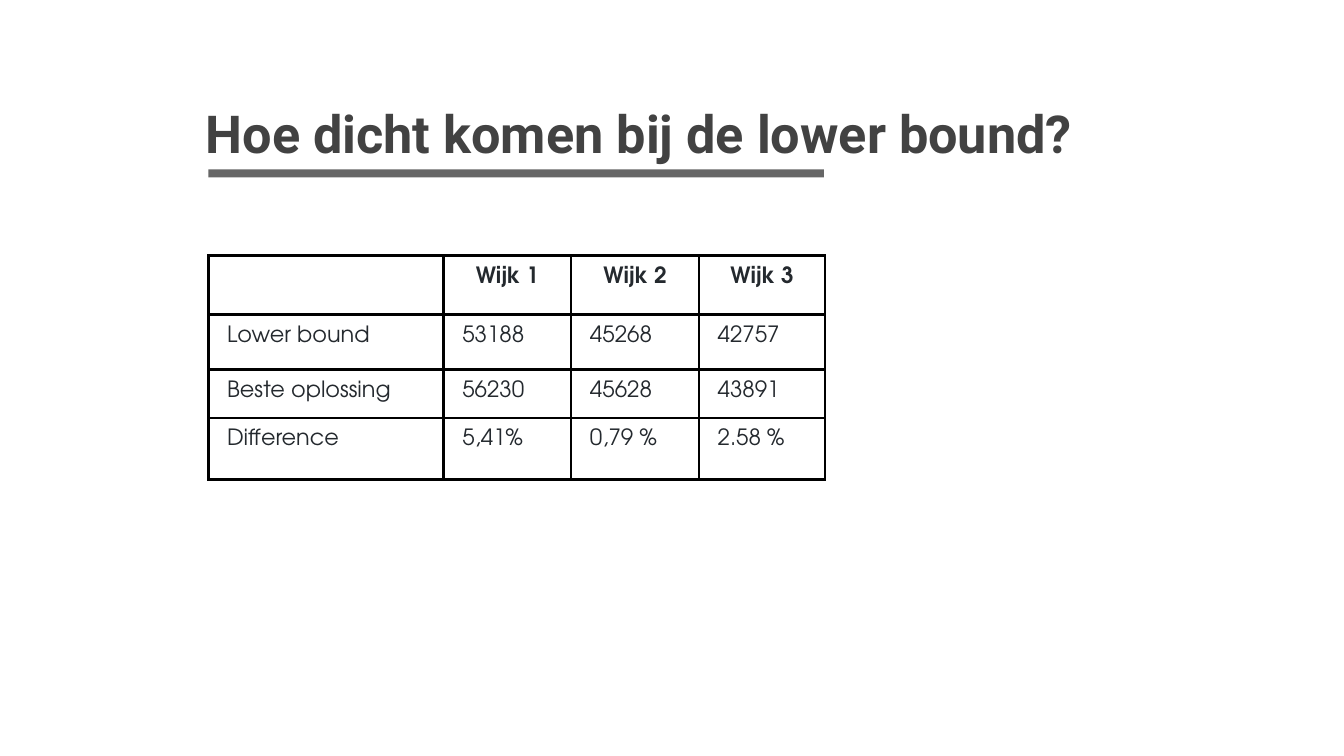
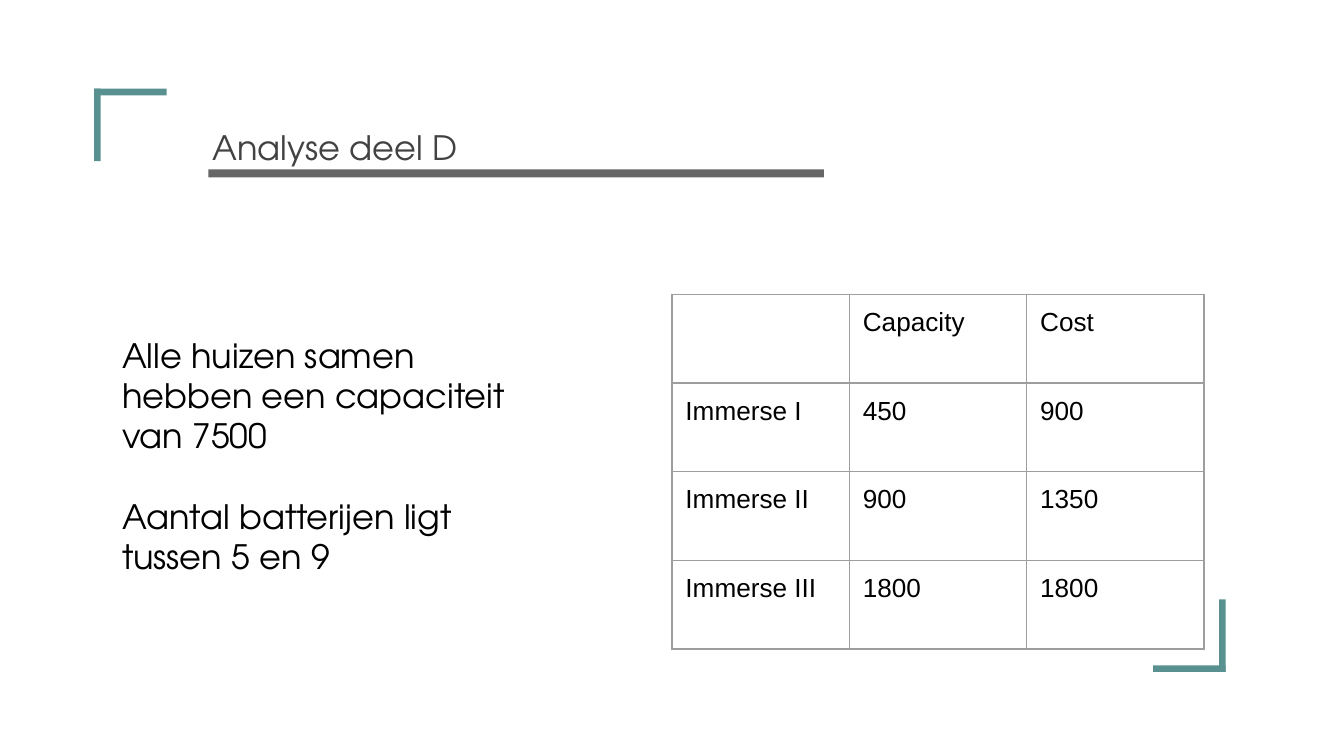
from dataclasses import dataclass

from pptx import Presentation
from pptx.dml.color import RGBColor
from pptx.enum.shapes import MSO_SHAPE
from pptx.enum.text import MSO_ANCHOR, MSO_AUTO_SIZE, PP_ALIGN
from pptx.oxml import parse_xml
from pptx.oxml.ns import nsdecls
from pptx.util import Inches, Pt


@dataclass(frozen=True)
class Theme:
    """Colours, fonts and type sizes of the deck."""
    title: str = "424242"
    bar: str = "666666"
    teal: str = "599191"
    ink: str = "24292E"
    black: str = "000000"
    grid: str = "9E9E9E"
    geo: str = "TeX Gyre Adventor"
    sans: str = "Arial"
    head: str = "Roboto"
    big: int = 28
    text: int = 18
    cell: int = 14
    small: int = 12


THEME = Theme()


def write(frame, *texts, font=THEME.geo, size=THEME.text, color=THEME.black, bold=False,
          align=PP_ALIGN.LEFT, line=1.0, after=0, gap=0):
    """Fill a text frame with one paragraph per text."""
    for n, text in enumerate(texts):
        para = frame.add_paragraph() if n else frame.paragraphs[0]
        para.alignment, para.line_spacing = align, line
        para.space_before, para.space_after = Pt(gap if n else 0), Pt(after)
        run = para.add_run()
        run.text = text
        run.font.name, run.font.size, run.font.bold = font, Pt(size), bold
        run.font.color.rgb = RGBColor.from_string(color)


def pad(host, side, top):
    """Set the inner margins of a cell or text frame."""
    host.margin_left = host.margin_right = Inches(side)
    host.margin_top = host.margin_bottom = Inches(top)


def block(shapes, box, color):
    """Draw a plain filled rectangle."""
    rect = shapes.add_shape(MSO_SHAPE.RECTANGLE, *map(Inches, box))
    rect.shadow.inherit = False
    rect.fill.solid()
    rect.fill.fore_color.rgb = RGBColor.from_string(color)
    rect.line.fill.background()


def heading(slide, box, text, **style):
    """Place the title and the rule under it."""
    block(slide.shapes, (1.55, 1.26, 4.58, 0.06), THEME.bar)
    title = slide.shapes.title
    title.left, title.top, title.width, title.height = map(Inches, box)
    frame = title.text_frame
    frame.word_wrap, frame.auto_size = True, MSO_AUTO_SIZE.NONE
    frame.vertical_anchor = MSO_ANCHOR.TOP
    pad(frame, 0.1, 0.1)
    write(frame, text, color=THEME.title, **style)


def corner(slide, left, top, end=False, side=0.54, thick=0.05):
    """Draw a bracket that opens inward from a corner of its square."""
    group = slide.shapes.add_group_shape().shapes
    shift = side - thick if end else 0
    block(group, (left + shift, top, thick, side), THEME.teal)
    block(group, (left, top + shift, side, thick), THEME.teal)


def border(cell, color, width):
    """Line all four sides of a cell."""
    for side in "LRTB":
        cell._tc.get_or_add_tcPr().append(parse_xml(
            f'<a:ln{side} {nsdecls("a")} w="{Pt(width)}"><a:solidFill>'
            f'<a:srgbClr val="{color}"/></a:solidFill></a:ln{side}>'))


def grid(slide, left, top, cols, rows, data, edge, inset, first=None, **style):
    """Build a table; first holds extra format for the top row."""
    table = slide.shapes.add_table(
        len(rows), len(cols), *map(Inches, (left, top, sum(cols), sum(rows)))).table
    table.first_row = table.horz_banding = False
    for col, width in zip(table.columns, cols):
        col.width = Inches(width)
    for r, (row, height, texts) in enumerate(zip(table.rows, rows, data)):
        row.height = Inches(height)
        look = style | (first or {}) if r == 0 else style
        for cell, text in zip(row.cells, texts):
            border(cell, *edge)
            cell.fill.background()
            pad(cell, *inset)
            if text:
                write(cell.text_frame, text, **look)


def bound(slide):
    """Compare the best solutions with the lower bound."""
    heading(slide, (1.43, 0.65, 7.69, 1.09), "Hoe dicht komen bij de lower bound?",
            font=THEME.head, size=THEME.big, bold=True)
    data = [("", "Wijk 1", "Wijk 2", "Wijk 3"),
            ("Lower bound", "53188", "45268", "42757"),
            ("Beste oplossing", "56230", "45628", "43891"),
            ("Difference", "5,41%", "0,79 %", "2.58 %")]
    grid(slide, 1.55, 1.9, (1.75, 0.95, 0.95, 0.94), (0.44, 0.41, 0.36, 0.46), data,
         (THEME.black, 1.5), (0.14, 0.06), first={"bold": True, "align": PP_ALIGN.CENTER},
         size=THEME.small, color=THEME.ink, line=1.15, after=12)


def notes(slide, box):
    """Place the findings beside the battery table."""
    frame = slide.shapes.add_textbox(*map(Inches, box)).text_frame
    frame.word_wrap, frame.vertical_anchor = True, MSO_ANCHOR.MIDDLE
    pad(frame, 0.1, 0.1)
    write(frame, "Alle huizen samen hebben een capaciteit van 7500",
          "Aantal batterijen ligt tussen 5 en 9", gap=21.6)


def parts(slide):
    """Show the battery types and what follows from them."""
    heading(slide, (1.48, 0.8, 7.69, 0.99), "Analyse deel D", line=1.15, after=16)
    corner(slide, 8.58, 4.46, end=True)
    corner(slide, 0.7, 0.66)
    data = [("", "Capacity", "Cost"), ("Immerse I", "450", "900"),
            ("Immerse II", "900", "1350"), ("Immerse III", "1800", "1800")]
    grid(slide, 5, 2.19, [1.32] * 3, [0.66] * 4, data, (THEME.grid, 0.75), (0.1, 0.1),
         font=THEME.sans, size=THEME.cell)
    notes(slide, (0.81, 1.75, 3.28, 3.28))


def main():
    """Build and save the deck."""
    deck = Presentation()
    deck.slide_width = Inches(10)
    deck.slide_height = deck.slide_width * 9 // 16
    for build in (bound, parts):
        build(deck.slides.add_slide(deck.slide_layouts[5]))
    deck.save("out.pptx")


if __name__ == "__main__":
    main()
